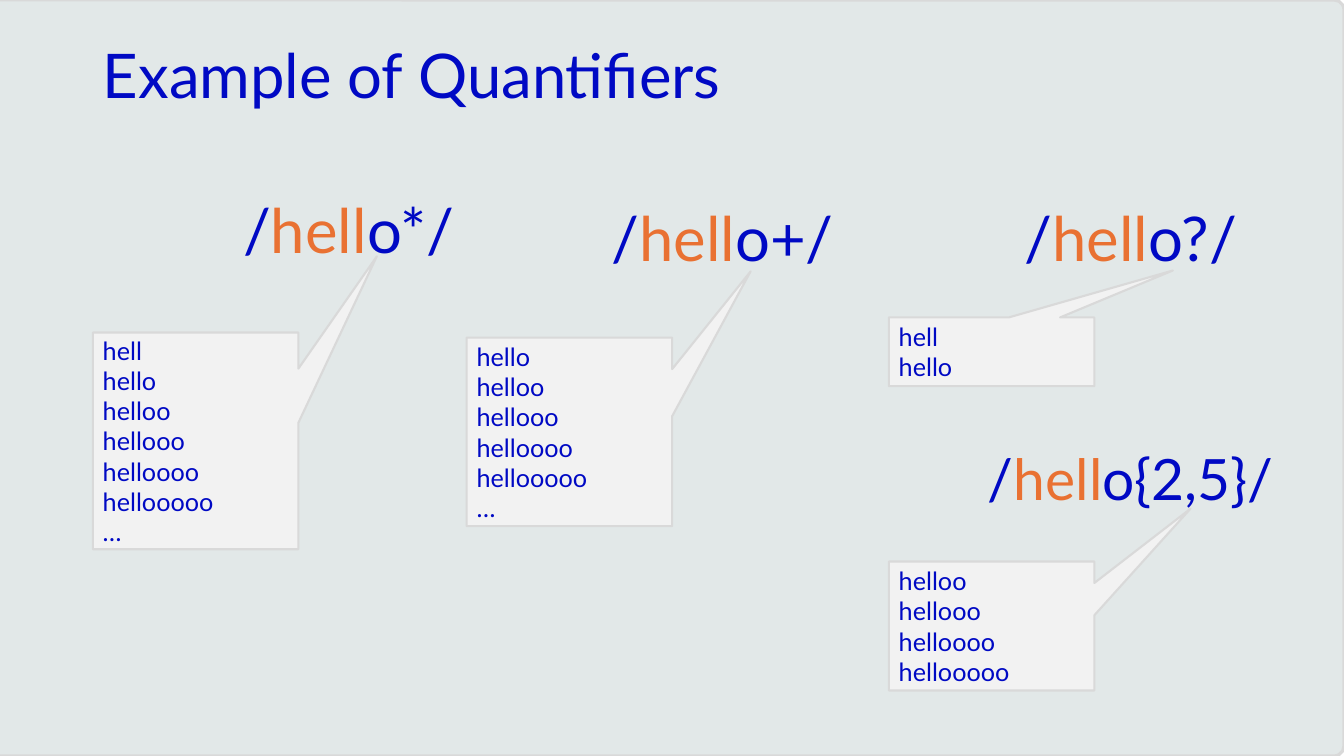
from pptx import Presentation
from pptx.dml.color import RGBColor
from pptx.enum.shapes import MSO_SHAPE
from pptx.enum.text import MSO_ANCHOR, MSO_AUTO_SIZE, PP_ALIGN
from pptx.util import Cm, Pt

TITLE = "Example of Quantifiers"
STEM = "hell"
# quantified ending, font size, pattern (left, top), matches,
# callout (left, top, height), callout pointer
EXAMPLES = [
    ("o*", 44, (4.93, 4.93),
     ["hell", "hello", "helloo", "hellooo", "helloooo", "hellooooo", "…"],
     (2.34, 8.38, 5.46), (0.882, -0.852)),
    ("o+", 44, (14.35, 5.13),
     ["hello", "helloo", "hellooo", "helloooo", "hellooooo", "…"],
     (11.76, 8.51, 4.75), (0.882, -0.852)),
    ("o?", 44, (24.64, 5.13),
     ["hell", "hello"],
     (22.4, 8.0, 1.73), (0.882, -1.184)),
    ("o{2,5}", 40.7, (24.64, 11.25),
     ["helloo", "hellooo", "helloooo", "hellooooo"],
     (22.4, 14.15, 3.25), (0.968, -0.91)),
]

FONT = "Lato"
BLUE = RGBColor(0x00, 0x09, 0xC4)
ORANGE = RGBColor(0xE9, 0x71, 0x32)
PANEL_FILL = RGBColor(0xE2, 0xE8, 0xE8)
CALLOUT_FILL = RGBColor(0xF2, 0xF2, 0xF2)
EDGE = RGBColor(0xD9, 0xD9, 0xD9)
SLIDE_WIDTH, SLIDE_HEIGHT = 33.87, 19.05
PANEL_OVERHANG = 0.3
PATTERN_WIDTH, PATTERN_HEIGHT = 7.72, 2.03
CALLOUT_WIDTH = 5.18
TITLE_ONLY = 5


def set_font(font, size, color=BLUE):
    font.name = FONT
    font.size = Pt(size)
    font.color.rgb = color


def add_outlined(slide, kind, frame, fill, line_width, adjustments):
    shape = slide.shapes.add_shape(kind, *(Cm(length) for length in frame))
    shape.shadow.inherit = False
    shape.fill.solid()
    shape.fill.fore_color.rgb = fill
    shape.line.color.rgb = EDGE
    shape.line.width = Pt(line_width)
    for index, value in enumerate(adjustments):
        shape.adjustments[index] = value
    return shape


def add_pattern(slide, ending, size, left, top):
    box = slide.shapes.add_textbox(Cm(left), Cm(top), Cm(PATTERN_WIDTH), Cm(PATTERN_HEIGHT))
    box.text_frame.word_wrap = True
    para = box.text_frame.paragraphs[0]
    para.alignment = PP_ALIGN.CENTER
    para.line_spacing = 0.9
    for text, color in (("/", BLUE), (STEM, ORANGE), (ending + "/", BLUE)):
        span = para.add_run()
        span.text = text
        set_font(span.font, size, color)


def add_matches(slide, matches, left, top, height, pointer):
    callout = add_outlined(slide, MSO_SHAPE.RECTANGULAR_CALLOUT,
                           (left, top, CALLOUT_WIDTH, height), CALLOUT_FILL, 1.5, pointer)
    frame = callout.text_frame
    frame.word_wrap = True
    frame.vertical_anchor = MSO_ANCHOR.MIDDLE
    frame.text = "\n".join(matches)
    for para in frame.paragraphs:
        para.alignment = PP_ALIGN.LEFT
        set_font(para.font, 18)


def main():
    deck = Presentation()
    deck.slide_width, deck.slide_height = Cm(SLIDE_WIDTH), Cm(SLIDE_HEIGHT)
    slide = deck.slides.add_slide(deck.slide_layouts[TITLE_ONLY])

    panel = add_outlined(slide, MSO_SHAPE.ROUNDED_RECTANGLE,
                         (-PANEL_OVERHANG, 0, SLIDE_WIDTH + PANEL_OVERHANG, SLIDE_HEIGHT),
                         PANEL_FILL, 2.25, [0.013])
    title = slide.shapes.title
    title.element.addprevious(panel.element)
    title.left, title.top, title.width, title.height = Cm(2.34), Cm(1.02), Cm(29.21), Cm(3.68)
    frame = title.text_frame
    frame.text = TITLE
    frame.vertical_anchor = MSO_ANCHOR.TOP
    frame.auto_size = MSO_AUTO_SIZE.NONE
    para = frame.paragraphs[0]
    para.alignment = PP_ALIGN.LEFT
    para.line_spacing = 0.9
    set_font(para.font, 44)

    for ending, size, position, matches, callout, pointer in EXAMPLES:
        add_pattern(slide, ending, size, *position)
        add_matches(slide, matches, *callout, pointer)

    deck.save("out.pptx")


if __name__ == "__main__":
    main()
